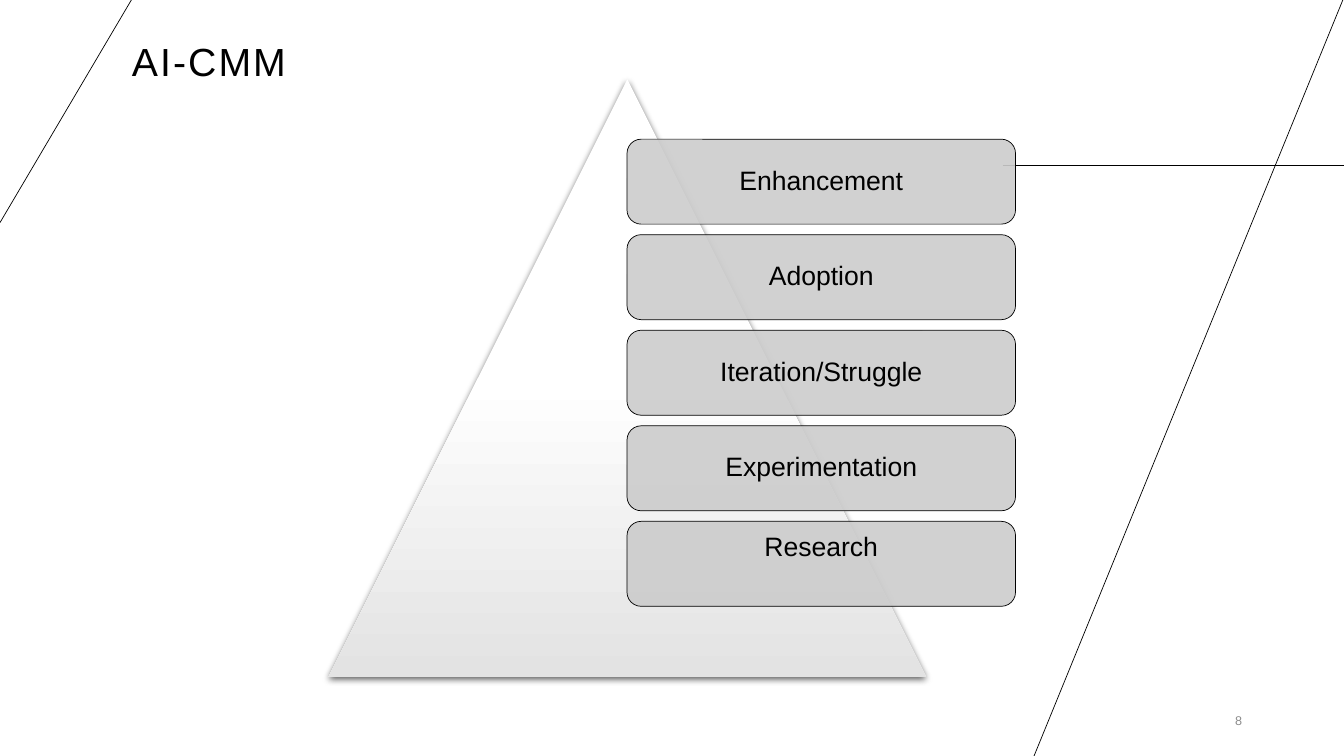
import lxml.etree
import pptx
import pptx.dml.color
import pptx.enum.shapes
import pptx.enum.text
import pptx.oxml.ns
import pptx.util

Pt = pptx.util.Pt
qn = pptx.oxml.ns.qn
SHAPE = pptx.enum.shapes.MSO_SHAPE
ALIGN = pptx.enum.text.PP_ALIGN
ANCHOR = pptx.enum.text.MSO_ANCHOR

STAGES = ["Enhancement", "Adoption", "Iteration/Struggle", "Experimentation", "Research"]


def rgb(value):
    return pptx.dml.color.RGBColor.from_string(value)


def add_xml(parent, tag, **attrs):
    return lxml.etree.SubElement(parent, qn(tag), {k: str(v) for k, v in attrs.items()})


class Deck:
    font = "Arial"
    ink = "000000"
    hairline = 0.5

    def __init__(self, width, height):
        self.prs = pptx.Presentation()
        self.prs.slide_width, self.prs.slide_height = Pt(width), Pt(height)
        self.slide = self.prs.slides.add_slide(self.prs.slide_layouts[6])

    def line(self, x1, y1, x2, y2):
        c = self.slide.shapes.add_connector(
            pptx.enum.shapes.MSO_CONNECTOR.STRAIGHT, Pt(x1), Pt(y1), Pt(x2), Pt(y2))
        c.line.color.rgb = rgb(self.ink)
        c.line.width = Pt(self.hairline)
        add_xml(c._element.spPr, "a:effectLst")

    def set_text(self, sp, text, size, align, anchor, color=ink, spacing=1.0):
        tf = sp.text_frame
        tf.word_wrap = True
        tf.vertical_anchor = anchor
        p = tf.paragraphs[0]
        p.alignment = align
        p.line_spacing = spacing
        r = p.add_run()
        r.text = text
        p.font.name, p.font.size = self.font, Pt(size)
        p.font.color.rgb = rgb(color)
        return r

    def text(self, x, y, w, h, *args, **style):
        sp = self.slide.shapes.add_textbox(Pt(x), Pt(y), Pt(w), Pt(h))
        return self.set_text(sp, *args, **style)

    def shape(self, kind, x, y, w, h):
        sp = self.slide.shapes.add_shape(kind, Pt(x), Pt(y), Pt(w), Pt(h))
        sp.shadow.inherit = False
        return sp

    def pyramid(self, x, y, size):
        """Triangle with a downward grey gradient and a soft shadow."""
        sp = self.shape(SHAPE.ISOSCELES_TRIANGLE, x, y, size, size)
        sp.line.fill.background()
        sp.fill.gradient()
        sp.fill.gradient_angle = 270
        pr = sp._element.spPr
        stops = pr.find(".//" + qn("a:gsLst"))
        for gs in list(stops):
            stops.remove(gs)
        for pos, color in ((0, "FFFFFF"), (50, "FFFFFF"), (100, "E3E3E3")):
            add_xml(add_xml(stops, "a:gs", pos=pos * 1000), "a:srgbClr", val=color)
        shadow = add_xml(pr.find(qn("a:effectLst")), "a:outerShdw", blurRad=int(Pt(4.5)),
                         dist=int(Pt(1.5)), dir=5400000, algn="ctr", rotWithShape=0)
        add_xml(add_xml(shadow, "a:srgbClr", val=self.ink), "a:alpha", val=63000)

    def stage(self, x, y, w, h, text, anchor):
        sp = self.shape(SHAPE.ROUNDED_RECTANGLE, x, y, w, h)
        sp.fill.solid()
        sp.fill.fore_color.rgb = rgb("CCCCCC")
        add_xml(sp._element.spPr.find(qn("a:solidFill"))[0], "a:alpha", val=90000)
        sp.line.color.rgb = rgb(self.ink)
        sp.line.width = Pt(self.hairline)
        tf = sp.text_frame
        tf.margin_left = tf.margin_right = tf.margin_top = tf.margin_bottom = Pt(6)
        self.set_text(sp, text, 19, ALIGN.CENTER, anchor, spacing=0.9)


def main():
    deck = Deck(960, 540)
    deck.line(716.4, 118.2, 960, 118.2)
    deck.line(960, -2, 738.6, 540)
    deck.line(0, 159, 95, -2)

    title = deck.text(87.2, 14, 713, 50, "AI-CMM", 28, ALIGN.LEFT, ANCHOR.BOTTOM, spacing=0.9)
    title.font._element.set("spc", "150")
    deck.text(816.5, 500.4, 77.8, 28.8, "8", 9, ALIGN.RIGHT, ANCHOR.MIDDLE, color="8C8C8C")

    deck.pyramid(234.6, 56.7, 427)
    for i, name in enumerate(STAGES):
        anchor = ANCHOR.TOP if name == "Research" else ANCHOR.MIDDLE
        deck.stage(447.9, 99.4 + i * 68.25, 277.5, 60.7, name, anchor)

    deck.prs.save("out.pptx")


if __name__ == "__main__":
    main()
